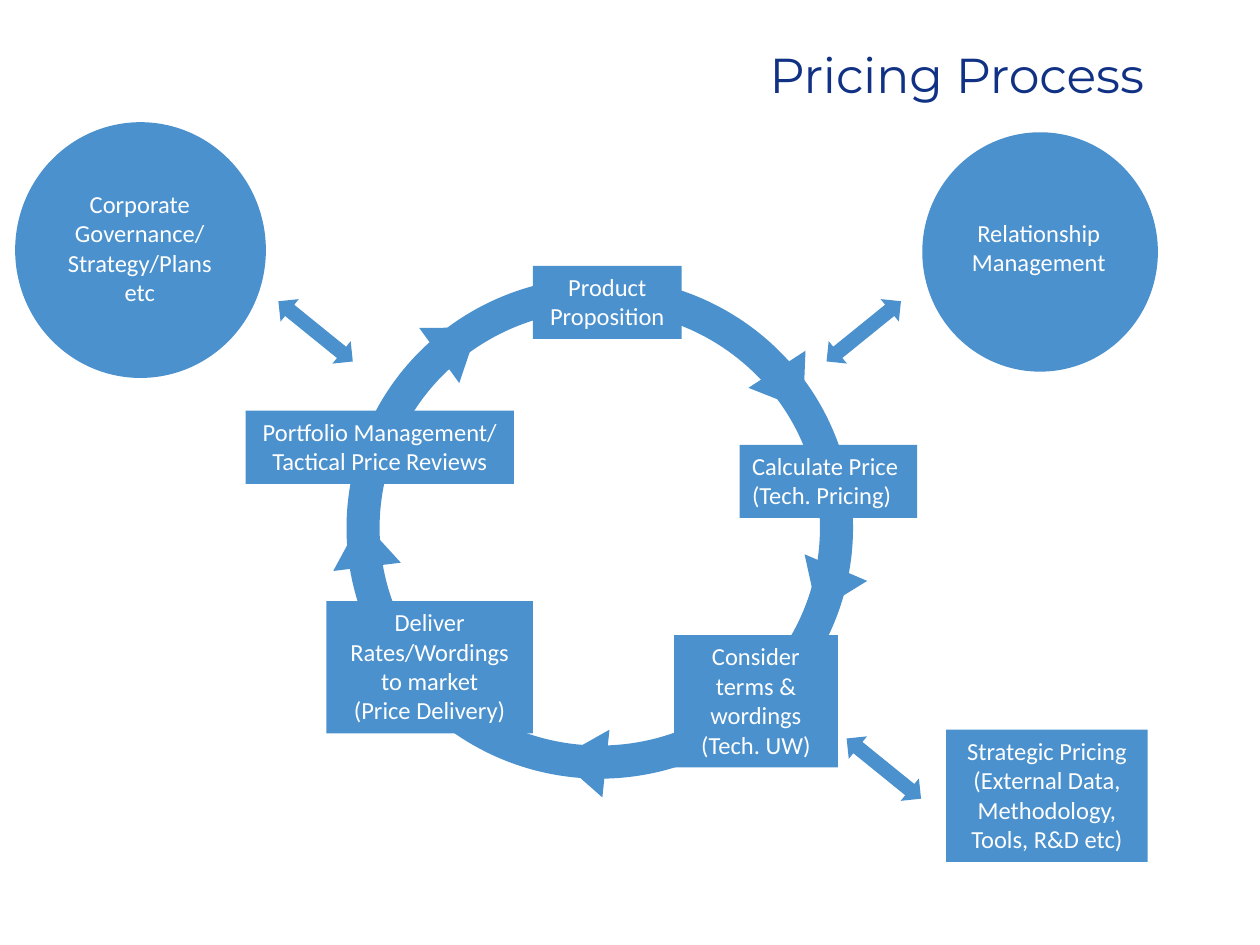
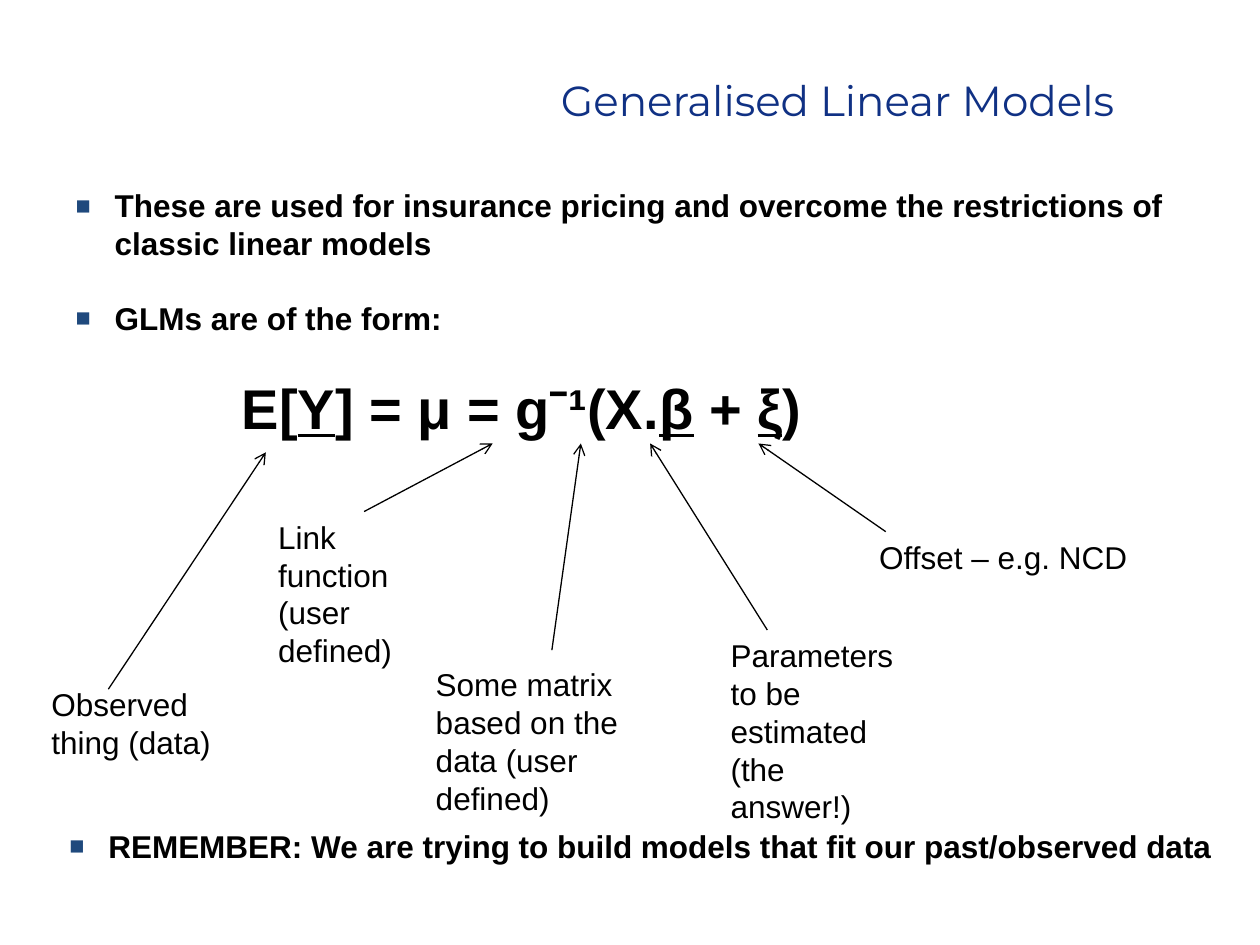
from dataclasses import dataclass

from lxml import etree
from pptx import Presentation
from pptx.dml.color import RGBColor
from pptx.enum.shapes import MSO_CONNECTOR, MSO_SHAPE
from pptx.enum.text import MSO_ANCHOR, MSO_AUTO_SIZE, PP_ALIGN
from pptx.oxml.ns import qn
from pptx.util import Inches, Pt

LEFT, CENTER, RIGHT = PP_ALIGN.LEFT, PP_ALIGN.CENTER, PP_ALIGN.RIGHT
TOP, MIDDLE = MSO_ANCHOR.TOP, MSO_ANCHOR.MIDDLE
NO_FIT = MSO_AUTO_SIZE.NONE
DONUT, OVAL = MSO_SHAPE.DONUT, MSO_SHAPE.OVAL
WEDGE, ARROW = MSO_SHAPE.ISOSCELES_TRIANGLE, MSO_SHAPE.UP_DOWN_ARROW
STRAIGHT = MSO_CONNECTOR.STRAIGHT


@dataclass(frozen=True)
class Theme:
    navy: str = "103184"
    blue: str = "4B91CD"
    mark: str = "1F497D"
    white: str = "FFFFFF"
    black: str = "000000"
    head: str = "Montserrat"
    label: str = "Calibri"
    body: str = "Arial"
    small: int = 14
    text: int = 18
    math: int = 32
    gap: int = 21
    hang: float = 0.31


T = Theme()


# Shared helpers
def paint(shape, color):
    shape.fill.solid()
    shape.fill.fore_color.rgb = RGBColor.from_string(color)


def style(para, face, size, color, align=LEFT, bold=False):
    para.alignment = align
    font = para.font
    font.name, font.size, font.bold = face, Pt(size), bold
    font.color.rgb = RGBColor.from_string(color)


def title(slide, text, box, size):
    shape = slide.shapes.title
    shape.left, shape.top, shape.width, shape.height = map(Inches, box)
    frame = shape.text_frame
    frame.text = text
    frame.auto_size, frame.vertical_anchor = NO_FIT, MIDDLE
    style(frame.paragraphs[0], T.head, size, T.navy, RIGHT)


def solid(shapes, kind, box, turn=0):
    shape = shapes.add_shape(kind, *map(Inches, box))
    shape.shadow.inherit = False
    paint(shape, T.blue)
    shape.line.fill.background()
    shape.rotation = turn
    return shape


def note(shapes, text, box, face, size, color, align=LEFT):
    shape = shapes.add_textbox(*map(Inches, box))
    frame = shape.text_frame
    frame.word_wrap = True
    frame.text = text
    for para in frame.paragraphs:
        style(para, face, size, color, align)
    return shape


def label(shapes, text, box, align=CENTER):
    paint(note(shapes, text, box, T.label, T.small, T.white, align), T.blue)


def indent(para, left, first):
    props = para._p.get_or_add_pPr()
    props.set("marL", str(Inches(left)))
    props.set("indent", str(Inches(first)))
    return props


def bullet(para, text):
    props = indent(para, T.hang, -T.hang)
    tint = etree.SubElement(props, qn("a:buClr"))
    etree.SubElement(tint, qn("a:srgbClr"), val=T.mark)
    etree.SubElement(props, qn("a:buSzPct"), val="80000")
    etree.SubElement(props, qn("a:buFont"), typeface=T.body)
    etree.SubElement(props, qn("a:buChar"), char="■")
    para.add_run().text = text
    style(para, T.body, T.text, T.black, bold=True)


def strip(frame):
    frame.margin_left = frame.margin_top = 0
    frame.margin_right = frame.margin_bottom = 0
    frame.word_wrap = True
    frame.auto_size, frame.vertical_anchor = NO_FIT, TOP


# Slide 1: the pricing cycle
def cycle(shapes, box):
    x, y = box[:2]
    solid(shapes, DONUT, box).adjustments[0] = 0.066

    # Direction marks, clockwise
    marks = [(3.25, 0.7, 147), (3.54, 2.29, 203), (1.6, 3.65, 276),
             (-0.13, 1.92, 353), (0.62, 0.32, 54)]
    for dx, dy, turn in marks:
        solid(shapes, WEDGE, (x + dx, y + dy, 0.54, 0.38), turn)

    # Steps on the ring
    steps = [
        ("Product Proposition", 1.48, -0.09, 1.18, 0.58, CENTER),
        ("Calculate Price\n(Tech. Pricing)", 3.12, 1.33, 1.41, 0.58, LEFT),
        ("Consider terms & wordings\n(Tech. UW)",
         2.6, 2.84, 1.3, 1.05, CENTER),
        ("Deliver Rates/Wordings to market\n(Price Delivery)",
         -0.16, 2.57, 1.64, 1.05, CENTER),
        ("Portfolio Management/ Tactical Price Reviews",
         -0.8, 1.06, 2.13, 0.58, CENTER),
    ]
    for text, dx, dy, wide, high, align in steps:
        label(shapes, text, (x + dx, y + dy, wide, high), align)


def bubble(shapes, text, box, inner):
    solid(shapes, OVAL, box)
    dx, dy, wide, high = inner
    label(shapes, text, (box[0] + dx, box[1] + dy, wide, high))


def process(deck):
    slide = deck.slides.add_slide(deck.slide_layouts[5])
    title(slide, "Pricing Process", (0.77, 0.36, 8.41, 0.45), 28)
    shapes = slide.shapes.add_group_shape().shapes
    cycle(shapes, (2.75, 2.2, 4.02, 3.98))

    # Outside inputs and their links
    bubble(shapes, "Relationship Management",
           (7.32, 1.05, 1.87, 1.9), (0.29, 0.63, 1.27, 0.58))
    bubble(shapes, "Corporate Governance/\nStrategy/Plans etc",
           (0.12, 0.97, 1.99, 2.03), (0.19, 0.48, 1.6, 1.05))
    label(shapes, "Strategic Pricing (External Data, Methodology, "
          "Tools, R&D etc)", (7.51, 5.79, 1.6, 1.05))
    for left, top, turn in [(6.74, 2.25, 51), (6.9, 5.72, 309),
                            (2.39, 2.25, 309)]:
        solid(shapes, ARROW, (left, top, 0.23, 0.76), turn)


# Slide 2: the model formula
def points(slide, box):
    shape = slide.placeholders[1]
    shape.left, shape.top, shape.width, shape.height = map(Inches, box)
    frame = shape.text_frame
    strip(frame)
    first, form, math = (frame.paragraphs[0], frame.add_paragraph(),
                         frame.add_paragraph())
    bullet(first, "These are used for insurance pricing and overcome "
           "the restrictions of classic linear models")
    bullet(form, "GLMs are of the form:")

    # Formula with underlined vectors
    etree.SubElement(indent(math, 1.32, 0), qn("a:buNone"))
    for part in ["E[", "Y", "] = μ = gˉ¹(X.", "β", " + ", "ξ", ")"]:
        run = math.add_run()
        run.text = part
        if part in "Yβξ":
            run.font.underline = True
    style(math, T.body, T.math, T.black, bold=True)
    for para, gap in [(first, 0), (form, T.gap), (math, T.gap)]:
        para.space_before = Pt(gap)


def pointer(shapes, start, end):
    line = shapes.add_connector(STRAIGHT, *map(Inches, start + end))
    line.line.color.rgb = RGBColor.from_string(T.black)
    line.line.width = Pt(0.75)
    etree.SubElement(line.line._get_or_add_ln(), qn("a:tailEnd"),
                     type="arrow")
    etree.SubElement(line._element.spPr, qn("a:effectLst"))


def remind(shapes, box):
    shape = shapes.add_textbox(*map(Inches, box))
    paint(shape, T.white)
    strip(shape.text_frame)
    bullet(shape.text_frame.paragraphs[0], "REMEMBER: We are trying to build "
           "models that fit our past/observed data")


def models(deck):
    slide = deck.slides.add_slide(deck.slide_layouts[1])
    title(slide, "Generalised Linear Models ", (1.61, 0.29, 7.42, 1), 24)
    points(slide, (0.6, 1.48, 9.17, 5.08))

    # Terms of the formula, each with its arrow
    terms = [
        ("Observed thing (data)", (0.31, 5.39, 1.56, 0.71),
         (0.86, 5.47), (2.11, 3.59)),
        ("Link function (user defined)", (2.11, 4.06, 1.56, 1.31),
         (2.89, 4.06), (3.91, 3.52)),
        ("Some matrix based on the data (user defined)",
         (3.36, 5.23, 1.72, 1.31), (4.38, 5.16), (4.61, 3.52)),
        ("Parameters to be estimated (the answer!)",
         (5.7, 5, 1.56, 1.62), (6.09, 5), (5.16, 3.52)),
        ("Offset – e.g. NCD", (6.88, 4.22, 2.34, 0.4),
         (7.03, 4.22), (6.02, 3.52)),
    ]
    for text, box, start, end in terms:
        note(slide.shapes, text, box, T.body, T.text, T.black)
        pointer(slide.shapes, start, end)
    remind(slide.shapes, (0.55, 6.56, 9.17, 0.31))


def main():
    deck = Presentation()
    deck.slide_width, deck.slide_height = Inches(10), Inches(7.5)
    process(deck)
    models(deck)
    deck.save("out.pptx")


if __name__ == "__main__":
    main()
